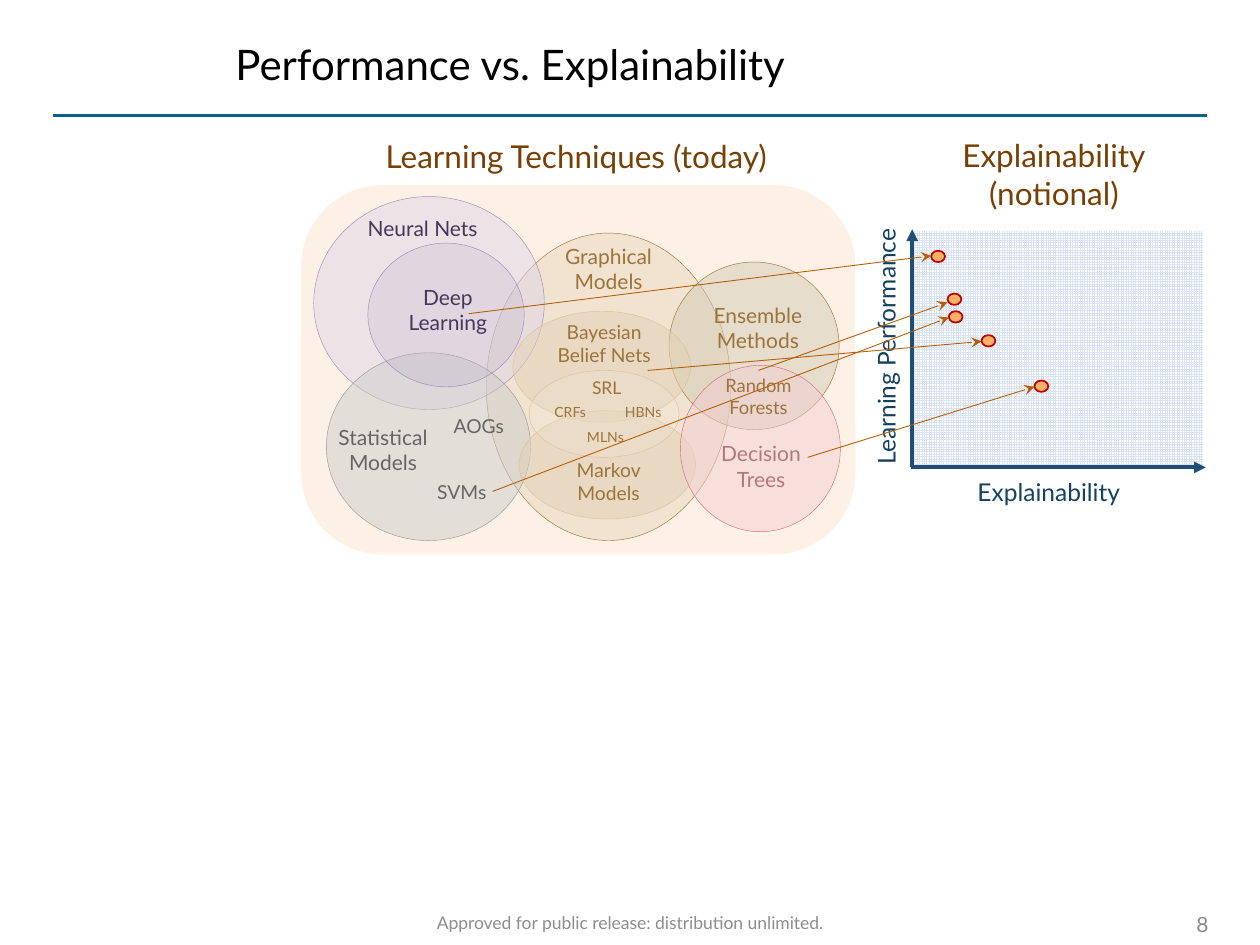
from lxml.etree import SubElement
from pptx import Presentation
from pptx.dml.color import RGBColor
from pptx.enum.dml import MSO_PATTERN
from pptx.enum.shapes import MSO_CONNECTOR, MSO_SHAPE
from pptx.enum.text import MSO_ANCHOR, MSO_AUTO_SIZE, PP_ALIGN
from pptx.oxml.ns import qn
from pptx.util import Inches, Pt


class Theme:
    font = "Lato"
    # type sizes
    title, head, axis, label, small, forest, note, tiny = 24, 18, 14, 12, 11, 10.5, 10, 8
    # text colours
    black, brown, navy, plum, gray, tan, wine = (
        "000000", "784004", "14425D", "48365A", "656565", "9A743A", "771F28")
    page, foot = "898989", "8C8C8C"
    # lines
    rule, frame, arrow, ring = "0F5E90", "1F4E79", "B45F07", "C00000"
    violet, silver, sand, rose = "A088B7", "989898", "DAC19B", "D96B77"
    # fills
    panel, dot, grid, paper = "FDE5CD", "F9B268", "DAE3F3", "FFFFFF"
    graph, neural, stats, group = "E6D6BD", "DFD7E7", "CCCCCC", "D3CBB6"
    deep, inner, cream, pink = "BFAFCF", "E4D1B6", "F3EADE", "F2CED2"


deck = Presentation()
deck.slide_width, deck.slide_height = Inches(10), Inches(7.5)
slide = deck.slides.add_slide(deck.slide_layouts[6])
shapes = slide.shapes


def write(text, box, size=Theme.label, color=Theme.tan, align=PP_ALIGN.CENTER,
          anchor=MSO_ANCHOR.TOP, wrap=False, turn=0):
    """Add a text box with one paragraph per line of text."""
    area = shapes.add_textbox(*map(Inches, box))
    area.rotation = turn
    frame = area.text_frame
    frame.word_wrap = wrap
    frame.vertical_anchor = anchor
    if anchor == MSO_ANCHOR.TOP:
        frame.auto_size = MSO_AUTO_SIZE.SHAPE_TO_FIT_TEXT
    frame.text = text
    for para in frame.paragraphs:
        para.alignment = align
        para.font.name = Theme.font
        para.font.size = Pt(size)
        para.font.color.rgb = RGBColor.from_string(color)


def draw(box, fill, alpha=100, line=None, width=0.25, kind=MSO_SHAPE.OVAL):
    """Add a preset shape; alpha is the opacity in percent."""
    shape = shapes.add_shape(kind, *map(Inches, box))
    shape.shadow.inherit = False
    shape.fill.solid()
    shape.fill.fore_color.rgb = RGBColor.from_string(fill)
    if alpha < 100:
        tone = shape.fill._xPr.find(".//" + qn("a:srgbClr"))
        SubElement(tone, qn("a:alpha"), val=str(alpha * 1000))
    if line:
        shape.line.color.rgb = RGBColor.from_string(line)
        shape.line.width = Pt(width)
    else:
        shape.line.fill.background()
    return shape


# Title, headings and footer
write("Performance vs. Explainability", (1.77, 0.17, 6.55, 0.67), Theme.title,
      Theme.black, PP_ALIGN.LEFT, MSO_ANCHOR.MIDDLE, wrap=True)
write("Learning Techniques (today)", (2.67, 1.04, 3.81, 0.4), Theme.head, Theme.brown, wrap=True)
write("Explainability\n(notional)", (6.6, 1.03, 3.53, 0.71), Theme.head, Theme.brown, wrap=True)
write("Approved for public release: distribution unlimited.", (1.46, 7.16, 7.08, 0.33),
      Theme.note, Theme.foot, anchor=MSO_ANCHOR.MIDDLE, wrap=True)
write("8", (8.86, 7.17, 0.83, 0.32), Theme.label, Theme.page, PP_ALIGN.RIGHT,
      MSO_ANCHOR.MIDDLE, wrap=True)

# Panel behind the techniques
panel = draw((2.39, 1.47, 4.4, 2.93), Theme.panel, 50, kind=MSO_SHAPE.ROUNDED_RECTANGLE)
panel.adjustments[0] = 0.22

# Plot area with its axis names and points
write("Learning Performance", (5.7, 2.58, 2.67, 0.34), Theme.axis, Theme.navy, wrap=True, turn=270)
write("Explainability", (6.89, 3.74, 2.87, 0.34), Theme.axis, Theme.navy, wrap=True)
plot = draw((7.22, 1.83, 2.33, 1.88), Theme.grid, kind=MSO_SHAPE.RECTANGLE)
plot.fill.patterned()
plot.fill.pattern = MSO_PATTERN.SMALL_GRID
plot.fill.fore_color.rgb = RGBColor.from_string(Theme.grid)
plot.fill.back_color.rgb = RGBColor.from_string(Theme.paper)
for left, top in [(7.39, 1.99), (7.52, 2.33), (7.79, 2.66), (8.21, 3.02), (7.53, 2.47)]:
    draw((left, top, 0.11, 0.09), Theme.dot, line=Theme.ring, width=1)

# Families of techniques, then the groups inside them
for box, fill, alpha, line in [
    ((3.86, 1.85, 1.94, 2.44), Theme.graph, 50, Theme.tan),
    ((2.49, 1.56, 1.83, 1.69), Theme.neural, 50, Theme.violet),
    ((2.59, 2.8, 1.62, 1.49), Theme.stats, 50, Theme.silver),
    ((5.31, 2.08, 1.35, 1.33), Theme.group, 50, Theme.tan),
    ((2.92, 1.93, 1.24, 1.14), Theme.deep, 25, Theme.violet),
    ((4.07, 2.47, 1.41, 0.88), Theme.inner, 50, Theme.sand),
    ((4.12, 3.26, 1.4, 0.86), Theme.inner, 50, Theme.sand),
    ((4.2, 2.94, 1.19, 0.69), Theme.cream, 20, Theme.sand),
]:
    draw(box, fill, alpha, line)

# The tree circle veils its own label
write("Decision\nTrees", (5.62, 3.45, 0.84, 0.5), color=Theme.wine)
draw((5.4, 2.9, 1.27, 1.32), Theme.pink, 50, Theme.rose)

for text, box, size, color in [
    ("Neural Nets", (2.81, 1.66, 1.09, 0.3), Theme.label, Theme.plum),
    ("Deep\nLearning", (3.13, 2.21, 0.85, 0.5), Theme.label, Theme.plum),
    ("Statistical\nModels", (2.58, 3.32, 0.92, 0.5), Theme.label, Theme.gray),
    ("SVMs", (3.36, 3.76, 0.61, 0.29), Theme.small, Theme.gray),
    ("AOGs", (3.49, 3.24, 0.62, 0.29), Theme.small, Theme.gray),
    ("Ensemble\nMethods", (5.54, 2.35, 0.95, 0.5), Theme.label, Theme.tan),
    ("Random\nForests", (5.64, 2.92, 0.76, 0.45), Theme.forest, Theme.tan),
    ("Graphical\nModels", (4.37, 1.88, 0.92, 0.5), Theme.label, Theme.tan),
    ("Bayesian\nBelief Nets", (4.3, 2.49, 0.99, 0.47), Theme.small, Theme.tan),
    ("SRL", (4.58, 2.94, 0.47, 0.27), Theme.note, Theme.tan),
    ("CRFs", (4.28, 3.15, 0.49, 0.24), Theme.tiny, Theme.tan),
    ("HBNs", (4.86, 3.15, 0.49, 0.24), Theme.tiny, Theme.tan),
    ("MLNs", (4.56, 3.35, 0.49, 0.24), Theme.tiny, Theme.tan),
]:
    write(text, box, size, color)
write("Markov Models", (4.43, 3.59, 0.8, 0.47), Theme.small, wrap=True)

# Title rule, axes, and arrows from technique to point
rule = (Theme.rule, 1.75, None)
axis = (Theme.frame, 2.25, "triangle")
arrow = (Theme.arrow, 0.5, "stealth")
for ends, (color, width, tip) in [
    ((0.42, 0.92, 9.58, 0.92), rule),
    ((7.24, 3.71, 7.24, 1.82), axis),
    ((7.23, 3.71, 9.57, 3.71), axis),
    ((3.72, 2.49, 7.39, 2.03), arrow),
    ((6.02, 2.94, 7.52, 2.4), arrow),
    ((3.91, 3.9, 7.53, 2.52), arrow),
    ((5.14, 2.94, 7.79, 2.71), arrow),
    ((6.41, 3.63, 8.21, 3.07), arrow),
]:
    link = shapes.add_connector(MSO_CONNECTOR.STRAIGHT, *map(Inches, ends))
    link.line.color.rgb = RGBColor.from_string(color)
    link.line.width = Pt(width)
    if tip:
        SubElement(link.line._get_or_add_ln(), qn("a:tailEnd"), type=tip)
    SubElement(link._element.spPr, qn("a:effectLst"))

deck.save("out.pptx")
